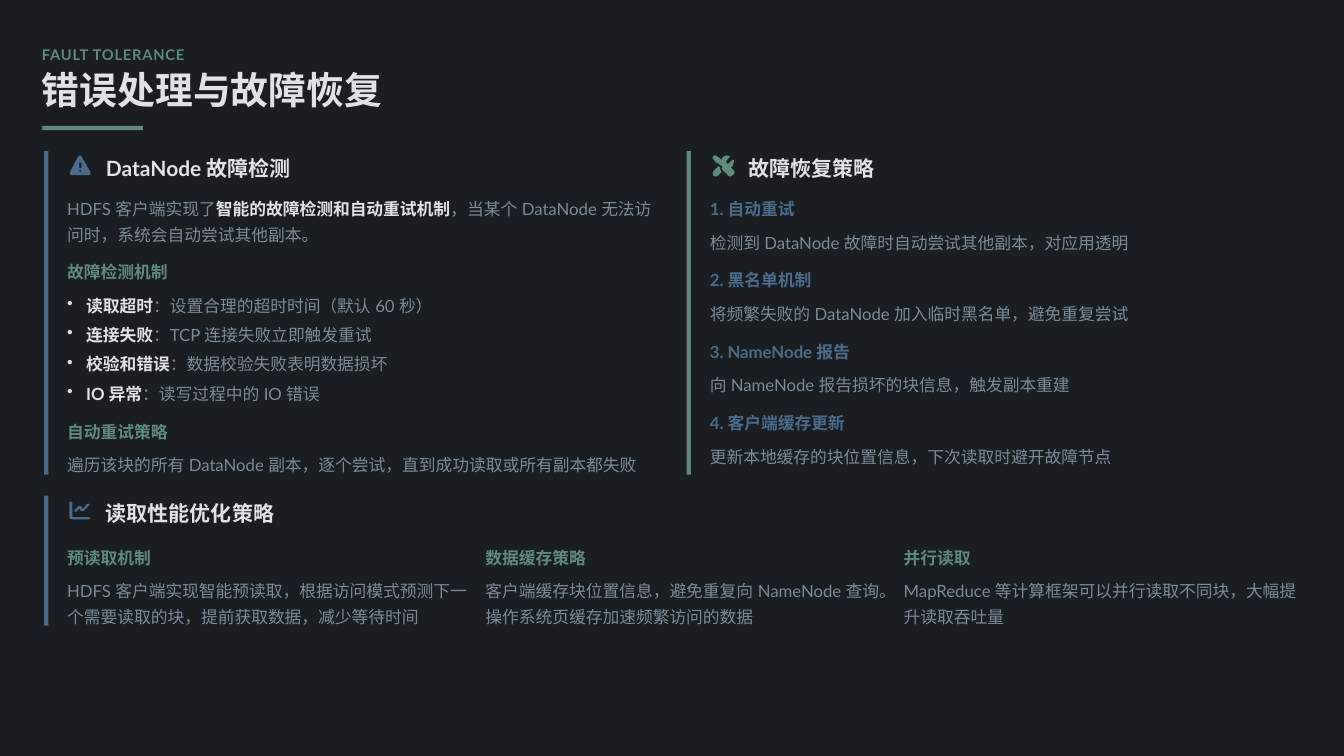
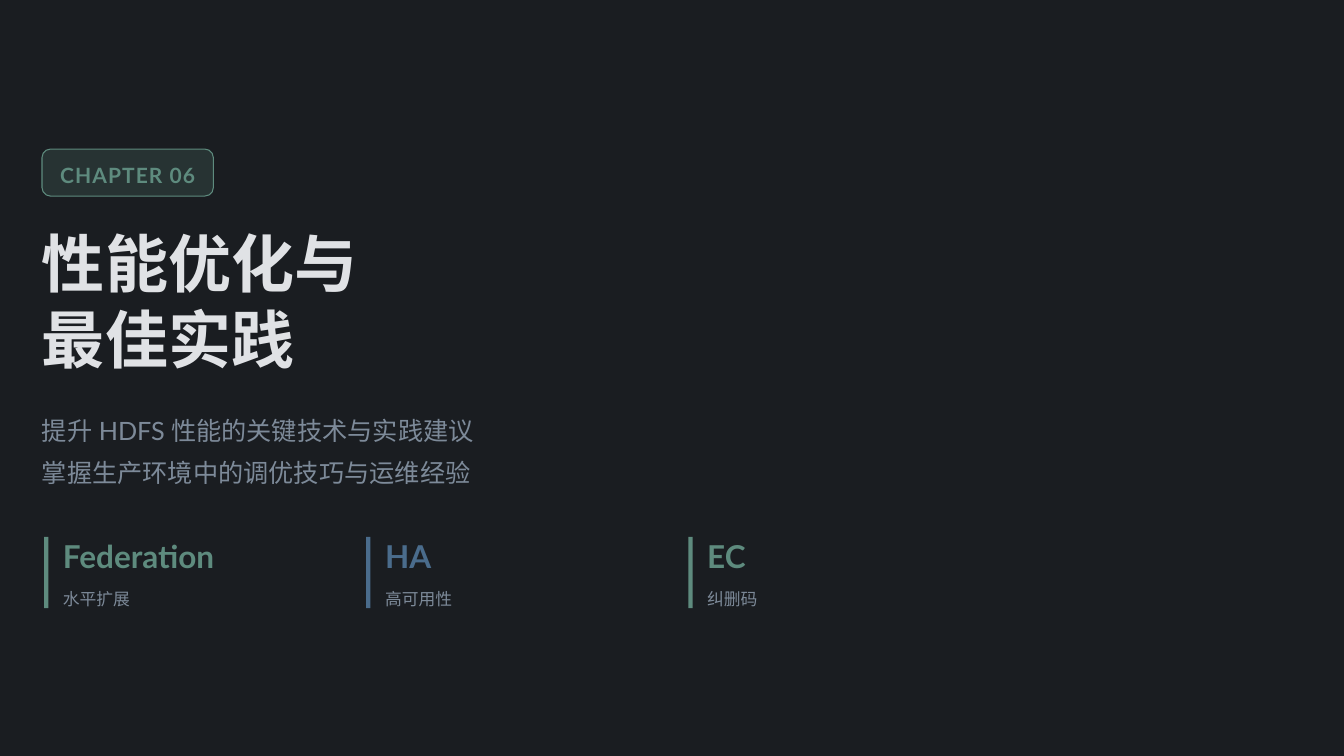
from lxml import etree
from pptx import Presentation
from pptx import util as u
from pptx.dml.color import RGBColor
from pptx.enum import shapes, text
from pptx.oxml import ns

COLS, ROWS = 320, 180          # slide grid
CELL = u.Pt(4)                 # side of one grid cell
MARGIN = 10
BAR_LEFT = MARGIN + 0.5
COLORS = {"back": "1A1D21", "green": "5E8B7E", "blue": "4A6C8C",
          "bright": "E0E2E5", "muted": "7D8A99"}
BODY_FONT, TITLE_FONT = "Lato", "Noto Sans CJK SC"

# Contours in hundredths of an inch; inner contours cut holes.
ICONS = {
    "warning": [
        [(14, 0), (16, 1), (28, 22), (28, 25), (26, 26), (3, 26), (1, 25), (1, 22), (12, 1)],
        [(13, 10), (14, 9), (16, 10), (16, 16), (14, 17), (13, 16)],
        [(13, 20), (15, 19), (16, 20), (15, 22), (14, 22)],
    ],
    "tools": [
        [(12, 6), (12, 9), (13, 4), (16, 1), (20, 0), (24, 1), (24, 2), (19, 7), (19, 10),
         (20, 11), (22, 11), (27, 6), (29, 6), (29, 9), (28, 13), (25, 16), (29, 20),
         (30, 22), (29, 25), (26, 27), (24, 28), (22, 27), (15, 20), (13, 18), (14, 15),
         (9, 11), (6, 10), (5, 9), (1, 4), (1, 2), (3, 0), (5, 0), (11, 4)],
        [(11, 16), (11, 19), (13, 22), (8, 27), (5, 28), (2, 27), (1, 24), (2, 21), (9, 14)],
    ],
    "chart": [
        [(0, 4), (2, 2), (4, 4), (4, 22), (5, 23), (26, 23), (28, 24), (26, 26), (5, 26),
         (1, 25), (0, 22)],
        [(26, 8), (27, 6), (25, 5), (23, 6), (18, 12), (15, 8), (12, 8), (7, 14), (7, 16),
         (9, 16), (13, 12), (16, 15), (19, 15)],
    ],
}


def grid(*cells):
    return [round(cell * CELL) for cell in cells]


def rgb(name):
    return RGBColor.from_string(COLORS[name])


def add_page(deck):
    page = deck.slides.add_slide(deck.slide_layouts[6])
    page.background.fill.solid()
    page.background.fill.fore_color.rgb = rgb("back")
    return page


def paint(shape, color):
    shape.shadow.inherit = False
    shape.fill.solid()
    shape.fill.fore_color.rgb = rgb(color)
    shape.line.fill.background()


def add_bar(page, box, color):
    paint(page.shapes.add_shape(shapes.MSO_SHAPE.RECTANGLE, *grid(*box)), color)


def add_icon(page, left, top, name, color):
    builder = None
    for start, *rest in ICONS[name]:
        if builder is None:
            builder = page.shapes.build_freeform(*start, scale=u.Inches(0.01))
        else:
            builder.move_to(*start)
        builder.add_line_segments(rest, close=True)
    paint(builder.convert_to_shape(*grid(left, top)), color)


def add_bullet(para, indent):
    props = para._p.get_or_add_pPr()
    props.set("marL", str(indent))
    props.set("indent", str(-indent))
    etree.SubElement(props, ns.qn("a:buChar")).set("char", "•")


def fill_frame(frame, content, *, size=16, color="muted", bold=False, spacing=1.3,
               font=BODY_FONT, tracking=0, bullet=False, align=None):
    """Write lines into a frame; parts between ** marks are bright and bold."""
    frame.word_wrap = True
    frame.vertical_anchor = text.MSO_ANCHOR.MIDDLE
    frame.margin_left = frame.margin_right = frame.margin_top = frame.margin_bottom = 0
    for number, line in enumerate(content.split("\n")):
        para = frame.add_paragraph() if number else frame.paragraphs[0]
        para.alignment = align
        para.line_spacing = spacing
        if bullet:
            add_bullet(para, u.Pt(18))
        for index, part in enumerate(line.split("**")):
            if not part:
                continue
            strong = index % 2 == 1
            span = para.add_run()
            span.text = part
            span.font.size = u.Pt(size)
            span.font.bold = bold or strong
            span.font.name = font
            span.font.color.rgb = rgb("bright" if strong else color)
            props = span._r.get_or_add_rPr()
            etree.SubElement(props, ns.qn("a:ea")).set("typeface", BODY_FONT)
            if tracking:
                props.set("spc", str(round(tracking * 100)))


def add_text(page, box, content, **style):
    fill_frame(page.shapes.add_textbox(*grid(*box)).text_frame, content, **style)


def add_header(page, label, title):
    width = COLS - 2 * MARGIN
    add_text(page, (MARGIN, 10, width, 5), label, size=14, color="green", bold=True,
             spacing=1.2, tracking=0.7)
    add_text(page, (MARGIN, 17, width, 10), title, size=36, color="bright", bold=True,
             spacing=0.9, font=TITLE_FONT)
    add_bar(page, (MARGIN, 30, 24, 1), "green")


def add_card(page, box, icon, title, color):
    """Draw a side bar, icon and heading; return the left edge and width for text."""
    left, top, width, height = box
    add_bar(page, (left, top, 1, height), color)
    add_icon(page, left + 6, top + 1, icon, color)
    add_text(page, (left + 14.7, top, width - 14.7, 7), title, size=20,
             color="bright", bold=True, spacing=1.2)
    return left + 5.5, width - 5.5


def add_detection(page, box):
    top = box[1]
    left, width = add_card(page, box, "warning", "DataNode 故障检测", "blue")
    add_text(page, (left, top + 10, width, 12),
             "HDFS 客户端实现了**智能的故障检测和自动重试机制**，"
             "当某个 DataNode 无法访问时，系统会自动尝试其他副本。")
    for row, heading in ((25, "故障检测机制"), (63, "自动重试策略")):
        add_text(page, (left, top + row, width, 6), heading, color="green", bold=True)
    causes = ("**读取超时**：设置合理的超时时间（默认 60 秒）",
              "**连接失败**：TCP 连接失败立即触发重试",
              "**校验和错误**：数据校验失败表明数据损坏",
              "**IO 异常**：读写过程中的 IO 错误")
    for index, cause in enumerate(causes):
        add_text(page, (left, top + 33 + 7 * index, width, 6), cause, bullet=True)
    add_text(page, (left, top + 71, width, 6),
             "遍历该块的所有 DataNode 副本，逐个尝试，直到成功读取或所有副本都失败")


def add_recovery(page, box):
    left, width = add_card(page, box, "tools", "故障恢复策略", "green")
    steps = (("1. 自动重试", "检测到 DataNode 故障时自动尝试其他副本，对应用透明"),
             ("2. 黑名单机制", "将频繁失败的 DataNode 加入临时黑名单，避免重复尝试"),
             ("3. NameNode 报告", "向 NameNode 报告损坏的块信息，触发副本重建"),
             ("4. 客户端缓存更新", "更新本地缓存的块位置信息，下次读取时避开故障节点"))
    for index, (heading, detail) in enumerate(steps):
        top = box[1] + 10 + 17 * index
        add_text(page, (left, top, width, 6), heading, color="blue", bold=True)
        add_text(page, (left, top + 8, width, 6), detail)


def add_optimization(page, box):
    top = box[1]
    left, width = add_card(page, box, "chart", "读取性能优化策略", "blue")
    topics = (("预读取机制", "HDFS 客户端实现智能预读取，根据访问模式预测下一个需要读取的块，"
               "提前获取数据，减少等待时间"),
              ("数据缓存策略", "客户端缓存块位置信息，避免重复向 NameNode 查询。"
               "操作系统页缓存加速频繁访问的数据"),
              ("并行读取", "MapReduce 等计算框架可以并行读取不同块，大幅提升读取吞吐量"))
    gap = 2.75
    column = (width - gap * (len(topics) - 1)) / len(topics)
    for index, (heading, detail) in enumerate(topics):
        x = left + index * (column + gap)
        add_text(page, (x, top + 11, column, 6), heading, color="green", bold=True)
        add_text(page, (x, top + 19, column, 12), detail)


def add_badge(page, box, label):
    badge = page.shapes.add_shape(shapes.MSO_SHAPE.ROUNDED_RECTANGLE, *grid(*box))
    badge.adjustments[0] = 0.18
    paint(badge, "green")
    color = badge.fill._xPr.find(".//" + ns.qn("a:srgbClr"))
    etree.SubElement(color, ns.qn("a:alpha")).set("val", "20000")
    badge.line.color.rgb = rgb("green")
    badge.line.width = u.Pt(1)
    fill_frame(badge.text_frame, label, size=20, color="green", bold=True, spacing=1.2,
               tracking=1, align=text.PP_ALIGN.CENTER)


def add_keyword(page, box, word, meaning, color):
    left, top, width, height = box
    add_bar(page, (left, top, 1, height), color)
    add_text(page, (left + 4.5, top, width - 4.5, 9), word, size=30, color=color,
             bold=True, spacing=1)
    add_text(page, (left + 4.5, top + 11, width - 4.5, 6), meaning)


def build_fault_page(deck):
    page = add_page(deck)
    add_header(page, "FAULT TOLERANCE", "错误处理与故障恢复")
    add_detection(page, (BAR_LEFT, 36, 148.5, 77))
    add_recovery(page, (BAR_LEFT + 153, 36, 148.5, 77))
    add_optimization(page, (BAR_LEFT, 118, 301.5, 31))


def build_chapter_page(deck):
    page = add_page(deck)
    width = COLS - 2 * MARGIN
    add_badge(page, (MARGIN, 35.5, 40.8, 11.2), "CHAPTER 06")
    add_text(page, (MARGIN, 52.7, width, 37.5), "性能优化与\n最佳实践", size=60,
             color="bright", bold=True, spacing=1, font=TITLE_FONT)
    add_text(page, (MARGIN, 96.3, width, 19.5),
             "提升 HDFS 性能的关键技术与实践建议\n掌握生产环境中的调优技巧与运维经验",
             size=24, spacing=1.4)
    keywords = (("Federation", "水平扩展", "green"), ("HA", "高可用性", "blue"),
                ("EC", "纠删码", "green"))
    for index, keyword in enumerate(keywords):
        add_keyword(page, (BAR_LEFT + 76.7 * index, 127.8, 73, 17), *keyword)


def main():
    deck = Presentation()
    deck.slide_width, deck.slide_height = grid(COLS, ROWS)
    build_fault_page(deck)
    build_chapter_page(deck)
    deck.save("out.pptx")


if __name__ == "__main__":
    main()
